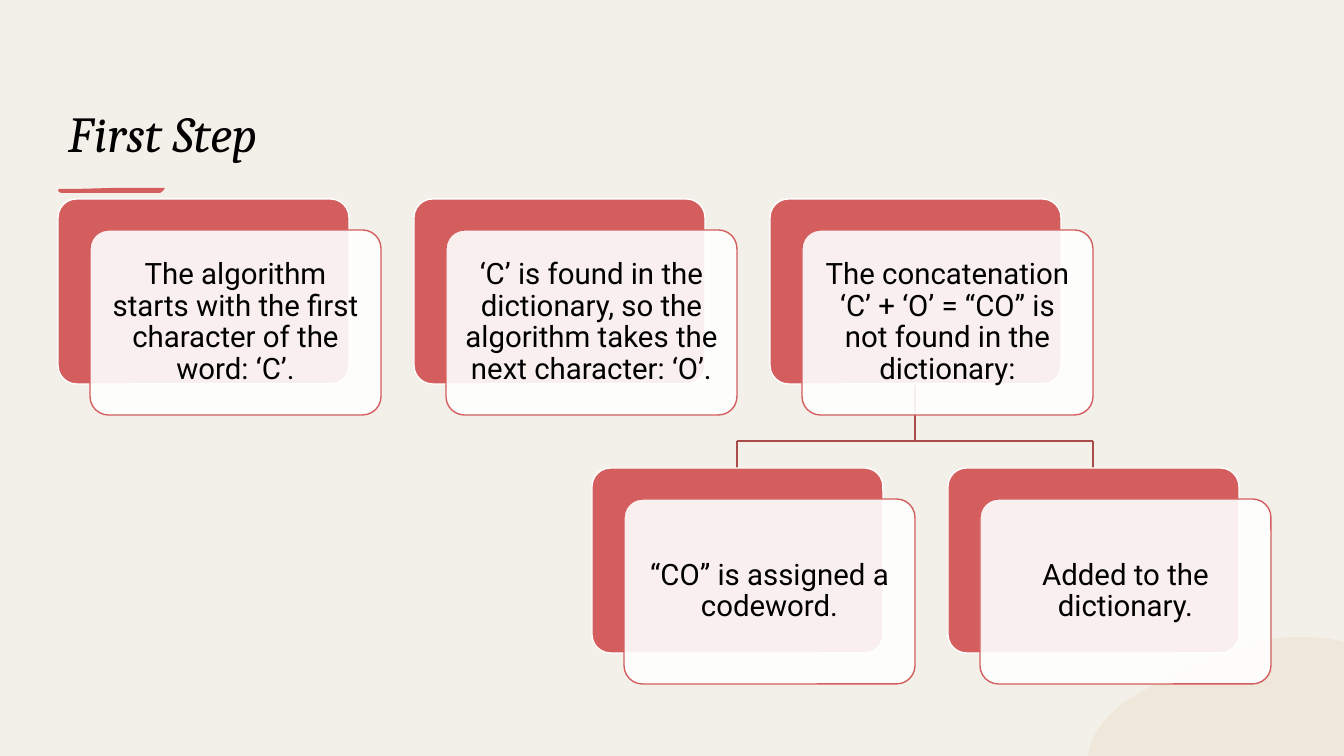
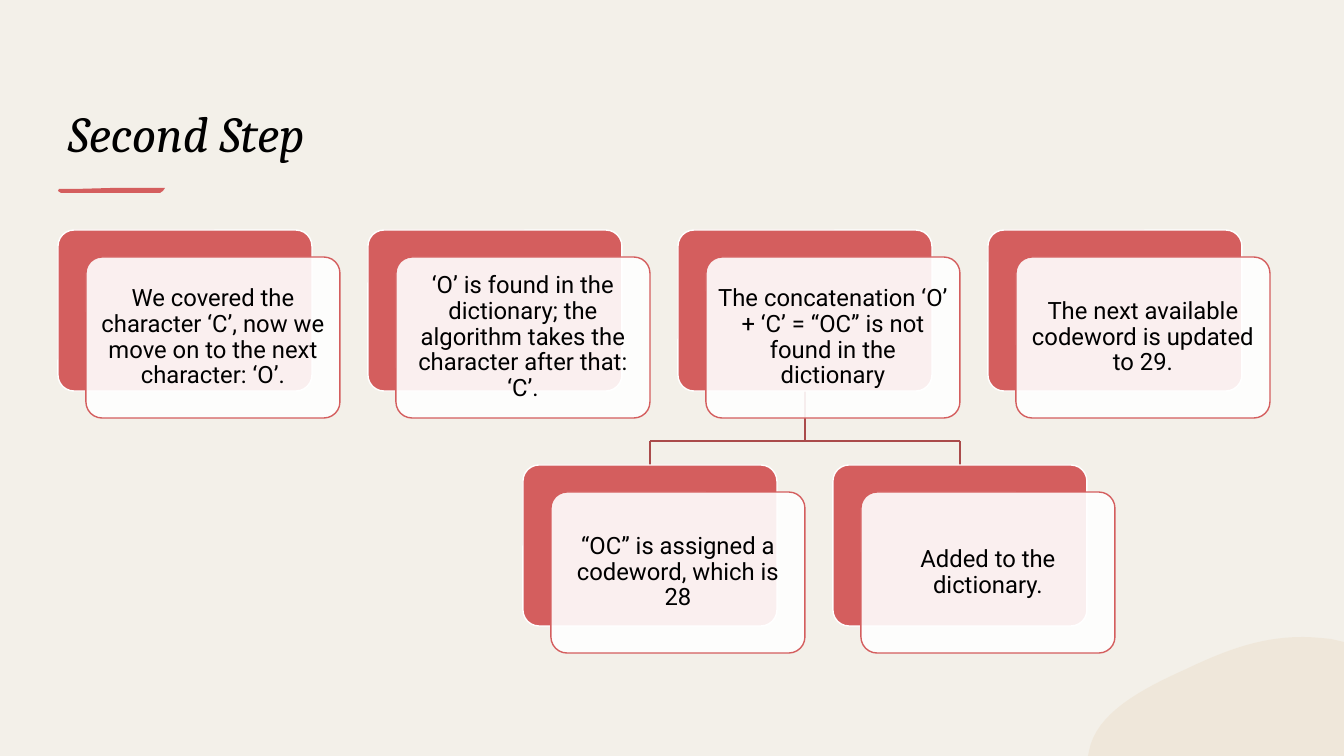
from dataclasses import dataclass

from pptx import Presentation
from pptx.dml.color import RGBColor
from pptx.enum.shapes import MSO_CONNECTOR, MSO_SHAPE
from pptx.enum.text import MSO_ANCHOR, MSO_AUTO_SIZE, PP_ALIGN
from pptx.oxml.ns import qn
from pptx.util import Emu, Pt
from lxml.etree import SubElement

COLORS = {
    "paper": "F3F0E9",
    "red": "D45E5E",
    "branch": "AA4B4B",
    "white": "FFFFFF",
    "ink": "000000",
    "sand": "E7CFAF",
}
TITLE_FONT, BODY_FONT = "Cambria", "Roboto"
SLIDE_W, SLIDE_H = 1344, 756
PX_PER_INCH = 100.8
LEFT = 58
BRANCH_Y = 441
CURVE_STEPS = 16

Point = tuple[float, float]


@dataclass(frozen=True)
class Grid:
    top: int
    width: int
    height: int
    col_pitch: int
    row_pitch: int
    shift_x: int
    shift_y: int
    inset: int
    size: int


@dataclass(frozen=True)
class Card:
    col: float
    row: int
    text: str


@dataclass(frozen=True)
class Step:
    title: str
    grid: Grid
    parent: Card
    children: list[Card]
    others: list[Card]


STEPS = [
    Step(
        "First Step",
        Grid(199, 291, 185, 356, 269, 32, 31, 9, 21),
        Card(2, 0, "The concatenation ‘C’ + ‘O’ = “CO” is not found in the dictionary:"),
        [
            Card(1.5, 1, "“CO” is assigned a codeword."),
            Card(2.5, 1, "Added to the dictionary."),
        ],
        [
            Card(0, 0, "The algorithm starts with the first character of the word: ‘C’."),
            Card(1, 0, "‘C’ is found in the dictionary, so the algorithm takes the next character: ‘O’."),
        ],
    ),
    Step(
        "Second Step",
        Grid(230, 254, 161, 310, 235, 28, 27, 7, 17),
        Card(2, 0, "The concatenation ‘O’ + ‘C’ = “OC” is not found in the dictionary"),
        [
            Card(1.5, 1, "“OC” is assigned a codeword, which is 28"),
            Card(2.5, 1, "Added to the dictionary."),
        ],
        [
            Card(0, 0, "We covered the character ‘C’, now we move on to the next character: ‘O’."),
            Card(1, 0, "‘O’ is found in the dictionary; the algorithm takes the character after that: ‘C’."),
            Card(3, 0, "The next available codeword is updated to 29."),
        ],
    ),
]


def px(n: float) -> Emu:
    return Emu(round(n * 914400 / PX_PER_INCH))


def rgb(name: str) -> RGBColor:
    return RGBColor.from_string(COLORS[name])


def paint(sp, fill: str, line: str | None = None, opacity: int = 100) -> None:
    sp.shadow.inherit = False
    sp.fill.solid()
    sp.fill.fore_color.rgb = rgb(fill)
    if opacity < 100:
        clr = sp.fill._xPr.find(qn("a:solidFill"))[0]
        SubElement(clr, qn("a:alpha"), val=str(opacity * 1000))
    if line:
        sp.line.color.rgb = rgb(line)
        sp.line.width = Pt(1)
    else:
        sp.line.fill.background()


def curve(p0: Point, p1: Point, p2: Point, p3: Point) -> list[Point]:
    points = []
    for i in range(1, CURVE_STEPS + 1):
        t = i / CURVE_STEPS
        weights = ((1 - t) ** 3, 3 * t * (1 - t) ** 2, 3 * t * t * (1 - t), t**3)
        x, y = (sum(w * p[k] for w, p in zip(weights, (p0, p1, p2, p3))) for k in (0, 1))
        points.append((x, y))
    return points


def add_outline(s, points: list[Point], fill: str, opacity: int = 100) -> None:
    start, *rest = [(px(x), px(y)) for x, y in points]
    builder = s.shapes.build_freeform(*start, scale=1.0)
    builder.add_line_segments(rest, close=True)
    paint(builder.convert_to_shape(), fill, opacity=opacity)


def add_decor(s) -> None:
    underline = [(59, 189), (76, 189), (112, 188), (165, 188), (163, 191),
                 (160, 193), (116, 193), (61, 193), (58, 191)]
    add_outline(s, underline, "red")
    blob = [(SLIDE_W, SLIDE_H), (1088, SLIDE_H), (1089, 751)]
    blob += curve((1089, 751), (1096, 713), (1142, 689), (1184, 670))
    blob += curve((1184, 670), (1220, 653), (1257, 637), (1302, 637))
    blob += curve((1302, 637), (1311, 637), (1322, 638), (1331, 639))
    blob.append((SLIDE_W, 642))
    add_outline(s, blob, "sand", 25)


def add_title(s, text: str) -> None:
    sp = s.shapes.title
    sp.left, sp.top, sp.width, sp.height = px(58), px(77), px(1111), px(91)
    tf = sp.text_frame
    tf.auto_size = MSO_AUTO_SIZE.NONE
    tf.vertical_anchor = MSO_ANCHOR.BOTTOM
    tf.text = text
    p = tf.paragraphs[0]
    p.alignment = PP_ALIGN.LEFT
    p.font.name, p.font.size, p.font.italic = TITLE_FONT, Pt(36), True
    p.font.color.rgb = rgb("ink")


def corner(grid: Grid, card: Card) -> tuple[int, int]:
    return LEFT + round(card.col * grid.col_pitch), grid.top + card.row * grid.row_pitch


def add_line(s, x1: float, y1: float, x2: float, y2: float) -> None:
    cn = s.shapes.add_connector(MSO_CONNECTOR.STRAIGHT, px(x1), px(y1), px(x2), px(y2))
    cn.line.color.rgb = rgb("branch")
    cn.line.width = Pt(1)
    SubElement(cn._element.spPr, qn("a:effectLst"))


def add_branches(s, step: Step) -> None:
    grid = step.grid
    half = grid.width // 2
    x, y = corner(grid, step.parent)
    add_line(s, x + half, y + grid.height, x + half, BRANCH_Y)
    ends = [corner(grid, child) for child in step.children]
    add_line(s, ends[0][0] + half, BRANCH_Y, ends[-1][0] + half, BRANCH_Y)
    for left, top in ends:
        add_line(s, left + half, BRANCH_Y, left + half, top)


def add_panel(s, grid: Grid, x: int, y: int):
    sp = s.shapes.add_shape(
        MSO_SHAPE.ROUNDED_RECTANGLE, px(x), px(y), px(grid.width), px(grid.height)
    )
    sp.adjustments[0] = 0.1
    return sp


def add_card(s, grid: Grid, card: Card) -> None:
    x, y = corner(grid, card)
    paint(add_panel(s, grid, x, y), "red", "white")
    front = add_panel(s, grid, x + grid.shift_x, y + grid.shift_y)
    paint(front, "white", "red", 90)
    tf = front.text_frame
    tf.word_wrap = True
    tf.vertical_anchor = MSO_ANCHOR.MIDDLE
    tf.margin_left = tf.margin_right = tf.margin_top = tf.margin_bottom = px(grid.inset)
    tf.text = card.text
    p = tf.paragraphs[0]
    p.alignment = PP_ALIGN.CENTER
    p.line_spacing = 0.9
    p.font.name, p.font.size = BODY_FONT, Pt(grid.size)
    p.font.color.rgb = rgb("ink")


def add_step(prs, step: Step) -> None:
    s = prs.slides.add_slide(prs.slide_layouts.get_by_name("Title Only"))
    add_title(s, step.title)
    add_decor(s)
    add_branches(s, step)
    for card in [*step.others, step.parent, *step.children]:
        add_card(s, step.grid, card)


def main() -> None:
    prs = Presentation()
    prs.slide_width, prs.slide_height = px(SLIDE_W), px(SLIDE_H)
    background = prs.slide_master.background.fill
    background.solid()
    background.fore_color.rgb = rgb("paper")
    for step in STEPS:
        add_step(prs, step)
    prs.save("out.pptx")


if __name__ == "__main__":
    main()
